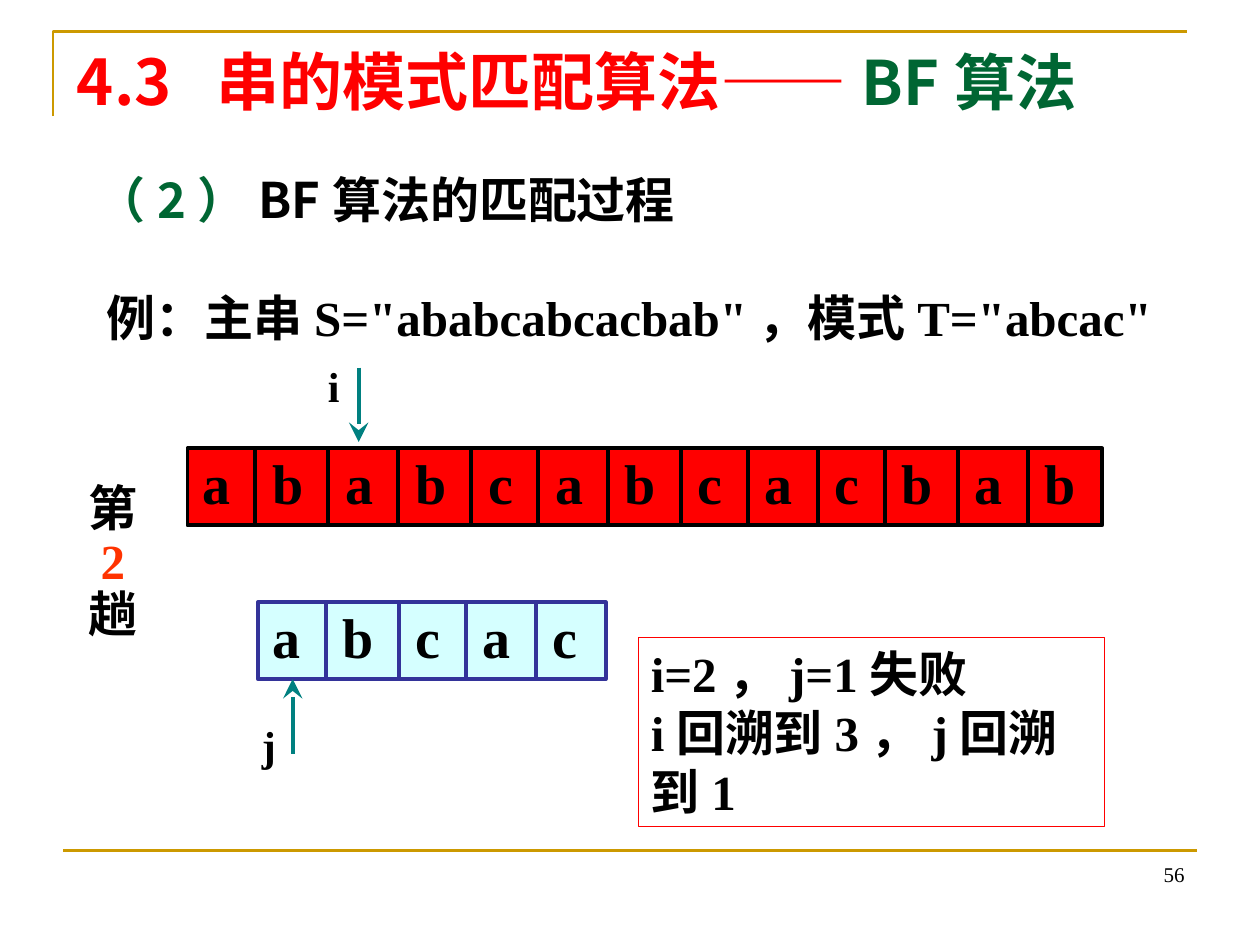
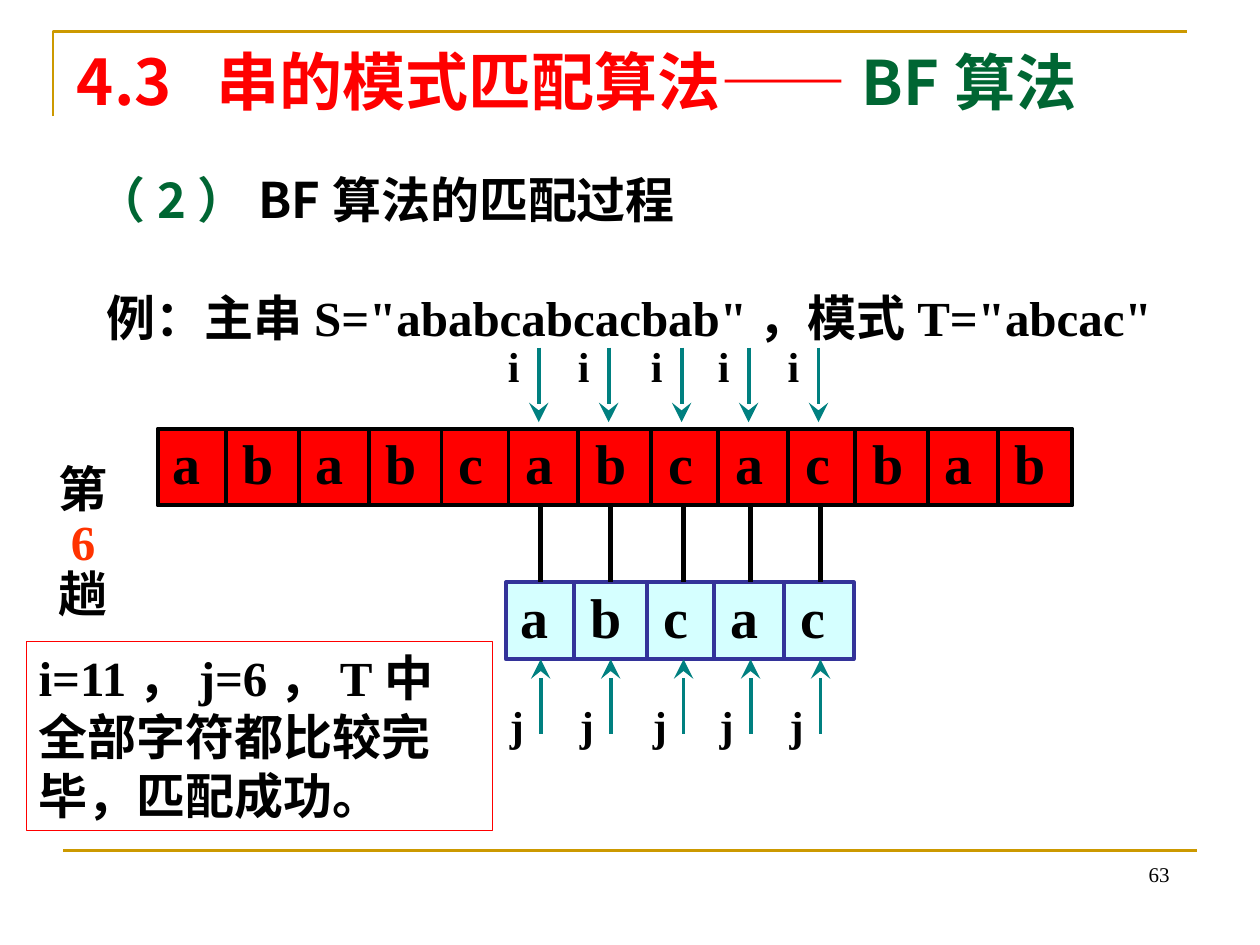
import itertools

import pptx
import pptx.dml.color
import pptx.enum.shapes
import pptx.enum.text
import pptx.oxml.ns
import pptx.util
from lxml import etree

Cm = pptx.util.Cm
Pt = pptx.util.Pt
ALIGN = pptx.enum.text.PP_ALIGN
ANCHOR = pptx.enum.text.MSO_ANCHOR

RED, GREEN, BLACK = "FF0000", "006633", "000000"
GOLD, TEAL, NAVY, PALE, ORANGE = "CC9900", "008080", "333399", "D5FFFF", "FF3300"
SERIF, SANS = "Times New Roman", "Noto Sans CJK SC"

MAIN_STRING, PATTERN = "ababcabcacbab", "abcac"
PITCH = {"a": 1.41, "b": 1.47, "c": 1.35}
CELL_H = 1.55
MAIN_W, PATTERN_W = 18.44, 7.01
INSET = (0.25, 0.13, 0.25, 0.13)
NOTE_INSET = (0.25, 0.13, 0.4, 0.13)


def rgb(value):
    return pptx.dml.color.RGBColor.from_string(value)


def set_all(obj, values):
    for name, value in values.items():
        setattr(obj, name, value)


def letter_offsets(letters):
    return list(itertools.accumulate((PITCH[c] for c in letters[:-1]), initial=0))


def add_tabs(p, stops):
    tabs = etree.SubElement(p._p.get_or_add_pPr(), pptx.oxml.ns.qn("a:tabLst"))
    for stop in stops:
        etree.SubElement(tabs, pptx.oxml.ns.qn("a:tab"), pos=str(Cm(stop)), algn="l")


def add_run(p, text, size, color, font=SERIF, bold=True):
    r = p.add_run()
    r.text = text
    set_all(r.font, {"size": Pt(size), "name": font, "bold": bold})
    r.font.color.rgb = rgb(color)


def setup_frame(sp, inset=INSET, anchor=ANCHOR.TOP):
    tf = sp.text_frame
    left, top, right, bottom = (Cm(v) for v in inset)
    set_all(tf, {
        "word_wrap": True, "vertical_anchor": anchor,
        "margin_left": left, "margin_top": top,
        "margin_right": right, "margin_bottom": bottom,
    })
    return tf


def add_text(s, x, y, w, h, inset=INSET, anchor=ANCHOR.TOP):
    return setup_frame(s.shapes.add_textbox(Cm(x), Cm(y), Cm(w), Cm(h)), inset, anchor)


def add_box(s, x, y, w, h, fill, line, width, inset=INSET):
    sp = s.shapes.add_shape(
        pptx.enum.shapes.MSO_SHAPE.RECTANGLE, Cm(x), Cm(y), Cm(w), Cm(h))
    sp.shadow.inherit = False
    if fill:
        sp.fill.solid()
        sp.fill.fore_color.rgb = rgb(fill)
    else:
        sp.fill.background()
    sp.line.color.rgb = rgb(line)
    sp.line.width = Pt(width)
    return setup_frame(sp, inset)


def add_line(s, x1, y1, x2, y2, color, width, arrow=False):
    sp = s.shapes.add_connector(
        pptx.enum.shapes.MSO_CONNECTOR.STRAIGHT, Cm(x1), Cm(y1), Cm(x2), Cm(y2))
    sp.line.color.rgb = rgb(color)
    sp.line.width = Pt(width)
    if arrow:
        etree.SubElement(sp.line._get_or_add_ln(), pptx.oxml.ns.qn("a:tailEnd"),
                         type="stealth", w="lg", len="lg")
    etree.SubElement(sp._element.spPr, pptx.oxml.ns.qn("a:effectLst"))


def add_frame(s, number, number_x):
    fb = s.shapes.build_freeform(Cm(1.07), Cm(2.34))
    fb.add_line_segments([(Cm(1.07), Cm(0.64)), (Cm(23.93), Cm(0.64))], close=False)
    corner = fb.convert_to_shape()
    corner.shadow.inherit = False
    corner.fill.background()
    corner.line.color.rgb = rgb(GOLD)
    corner.line.width = Pt(1.5)
    add_line(s, 1.27, 17.15, 24.13, 17.15, GOLD, 1.5)
    p = add_text(s, number_x, 16.74, 5.92, 1.27, anchor=ANCHOR.BOTTOM).paragraphs[0]
    p.alignment = ALIGN.RIGHT
    add_run(p, number, 12, BLACK, bold=False)


def add_headings(s):
    p = add_text(s, 1.3, 0.73, 22.86, 2.31).paragraphs[0]
    add_tabs(p, [2.82])
    add_run(p, "4.3\t串的模式匹配算法——", 36, RED, SANS)
    add_run(p, "BF算法", 35, GREEN, SANS)

    p = add_text(s, 1.7, 2.94, 22.5, 2.39).paragraphs[0]
    p.line_spacing = 1.3
    add_run(p, "（2）", 28, GREEN, SANS)
    add_run(p, "BF算法的匹配过程", 28, BLACK, SANS)

    p = add_text(s, 1.9, 5.66, 22.53, 1.45).paragraphs[0]
    add_run(p, f'例：主串S="{MAIN_STRING}"，模式T="{PATTERN}"', 28, BLACK)


def add_cells(s, x, y, w, letters, fill, line):
    p = add_box(s, x, y, w, CELL_H, fill, line, 2.25, (0.3, 0, 0.05, 0)).paragraphs[0]
    p.alignment = ALIGN.LEFT
    stops = letter_offsets(letters)[1:]
    add_tabs(p, stops)
    add_run(p, "\t".join(letters), 32, BLACK)
    for stop in stops:
        divider = x + stop - 0.04
        add_line(s, divider, y, divider, y + CELL_H, line, 2.25)


def add_pass_label(s, x, y, number):
    tf = add_text(s, x, y, 1.8, 3.45)
    for i, (text, color) in enumerate([("第", BLACK), (number, ORANGE), ("趟", BLACK)]):
        p = tf.paragraphs[0] if i == 0 else tf.add_paragraph()
        p.line_spacing = 0.9
        if text == number:
            p._p.get_or_add_pPr().set("marL", str(Cm(0.25)))
        add_run(p, text, 28, color)


def add_pointer(s, name, x, tail_y, head_y, label_y):
    add_line(s, x, tail_y, x, head_y, TEAL, 2.25, arrow=True)
    p = add_text(s, x - 0.62, label_y, 0.64, 1.27, (0, 0.13, 0, 0.13)).paragraphs[0]
    add_run(p, name, 24, BLACK)


def add_note(s, x, y, lines):
    tf = add_box(s, x, y, 9.4, 3.81, None, RED, 0.75, NOTE_INSET)
    for i, text in enumerate(lines):
        p = tf.paragraphs[0] if i == 0 else tf.add_paragraph()
        p.alignment = ALIGN.LEFT
        p._p.get_or_add_pPr().set("hangingPunct", "0")
        add_run(p, text, 28, BLACK)


def add_matching(s, x, y, number, shift, pattern_x, compared, matched):
    pattern_y = y + 3.1
    pattern_bottom = pattern_y + CELL_H
    add_cells(s, x, y, MAIN_W, MAIN_STRING, RED, BLACK)
    add_cells(s, pattern_x, pattern_y, PATTERN_W, PATTERN, PALE, NAVY)
    add_pass_label(s, x - 2.25, y + 0.6, number)
    main_x = letter_offsets(MAIN_STRING)
    for j, offset in enumerate(letter_offsets(PATTERN)[:compared]):
        i_x = x + main_x[shift + j] + 0.57
        j_x = pattern_x + offset + 0.7
        add_pointer(s, "i", i_x, y - 1.63, y - 0.13, y - 1.9)
        add_pointer(s, "j", j_x, pattern_bottom + 1.5, pattern_bottom,
                    pattern_bottom + 0.69)
        if matched:
            add_line(s, j_x, y + CELL_H, j_x, pattern_y, BLACK, 3)


def add_pass_slide(prs, page, page_x, matching, note):
    s = prs.slides.add_slide(prs.slide_layouts[6])
    add_frame(s, page, page_x)
    add_headings(s)
    add_matching(s, **matching)
    add_note(s, **note)


def main():
    prs = pptx.Presentation()
    set_all(prs, {"slide_width": Cm(25.4), "slide_height": Cm(19.05)})
    add_pass_slide(
        prs, "56", 18.21,
        dict(x=3.78, y=9.04, number="2", shift=2, pattern_x=5.2,
             compared=1, matched=False),
        dict(x=12.87, y=12.85, lines=["i=2，j=1失败", "i回溯到3，j回溯到1"]))
    add_pass_slide(
        prs, "63", 17.91,
        dict(x=3.18, y=8.64, number="6", shift=5, pattern_x=10.2,
             compared=5, matched=True),
        dict(x=0.53, y=12.93, lines=["i=11，j=6，T中全部字符都比较完毕，匹配成功。"]))
    prs.save("out.pptx")


if __name__ == "__main__":
    main()
